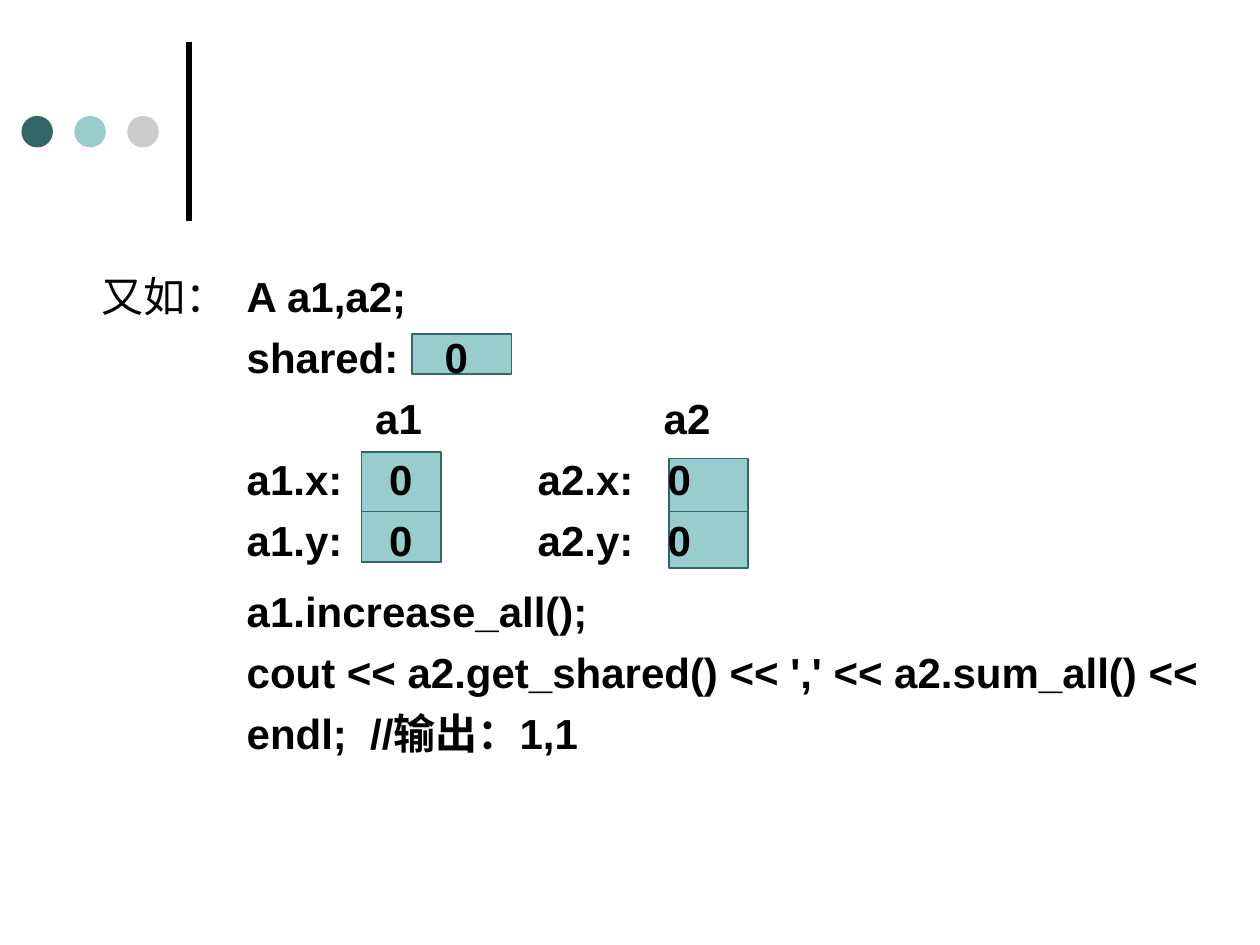
from dataclasses import dataclass

from lxml.etree import SubElement
from pptx import Presentation
from pptx.dml.color import RGBColor
from pptx.enum.shapes import MSO_CONNECTOR, MSO_SHAPE
from pptx.oxml.ns import qn
from pptx.slide import Slide
from pptx.text.text import _Paragraph
from pptx.util import Inches, Pt

COLORS = {"ink": "000000", "dark": "336666", "light": "99CCCC", "gray": "CCCCCC"}
CODE_FORMAT = {"name": "Arial", "size": Pt(24), "bold": True}
CODE_LEFT = 1.15


@dataclass
class Cell:
    left: float
    top: float
    width: float
    height: float


@dataclass
class Line:
    text: str
    tabs: tuple[float, ...] = ()
    intro: str = ""
    spacing: float = 1.0


OBJECT_CELLS = [Cell(5.31, 3.64, 0.63, 0.87), Cell(2.87, 3.59, 0.63, 0.87)]
SHARED_CELL = Cell(3.27, 2.65, 0.79, 0.32)
MEMBER_DIVIDER = 4.06
MEMBER_TABS = (2.28, 3.46, 4.49)

LINES = [
    Line("A a1,a2;", intro="又如：", spacing=1.2),
    Line("shared:\t0", (2.72,)),
    Line("\ta1\ta2", (2.17, 4.46)),
    Line("a1.x:\t0\ta2.x:\t0", MEMBER_TABS),
    Line("a1.y:\t0\ta2.y:\t0", MEMBER_TABS),
    Line("a1.increase_all();", spacing=1.2),
    Line("cout << a2.get_shared() << ',' << a2.sum_all() <<"),
    Line("endl;  //输出：1,1"),
]


def rgb(color: str) -> RGBColor:
    return RGBColor.from_string(COLORS[color])


def draw_shape(slide: Slide, kind: MSO_SHAPE, cell: Cell, fill: str, outline: str = "") -> None:
    shape = slide.shapes.add_shape(
        kind, Inches(cell.left), Inches(cell.top), Inches(cell.width), Inches(cell.height)
    )
    shape.shadow.inherit = False
    shape.fill.solid()
    shape.fill.fore_color.rgb = rgb(fill)
    if outline:
        shape.line.color.rgb = rgb(outline)
        shape.line.width = Pt(1)
    else:
        shape.line.fill.background()


def draw_line(slide: Slide, start: tuple[float, float], end: tuple[float, float],
              color: str, width: float) -> None:
    line = slide.shapes.add_connector(
        MSO_CONNECTOR.STRAIGHT, *map(Inches, start), *map(Inches, end)
    )
    line.line.color.rgb = rgb(color)
    line.line.width = Pt(width)
    SubElement(line._element.spPr, qn("a:effectLst"))


def write_line(paragraph: _Paragraph, line: Line, first: bool) -> None:
    stops = SubElement(paragraph._p.get_or_add_pPr(), qn("a:tabLst"))
    texts = line.text.split("\t")
    for position in (CODE_LEFT, *line.tabs):
        SubElement(stops, qn("a:tab"), pos=str(Inches(position)), algn="l")
    paragraph.line_spacing = line.spacing
    paragraph.space_before = Pt(0 if first else 6)
    for text, bold in ((line.intro, False), ("\t" + "\t".join(texts), True)):
        if not text:
            continue
        run = paragraph.add_run()
        run.text = text
        for attribute, value in (CODE_FORMAT | {"bold": bold}).items():
            setattr(run.font, attribute, value)
        run.font.color.rgb = rgb("ink")


def write_code(slide: Slide) -> None:
    code = slide.shapes.add_textbox(Inches(0.71), Inches(2.02), Inches(9.17), Inches(4.49))
    frame = code.text_frame
    frame.word_wrap = True
    for index, line in enumerate(LINES):
        paragraph = frame.add_paragraph() if index else frame.paragraphs[0]
        write_line(paragraph, line, first=index == 0)


def main() -> None:
    deck = Presentation()
    deck.slide_width, deck.slide_height = Inches(10), Inches(7.5)
    slide = deck.slides.add_slide(deck.slide_layouts[6])

    draw_line(slide, (1.5, 1.75), (1.5, 0.33), "ink", 3)
    for index, color in enumerate(("dark", "light", "gray")):
        dot = Cell(0.17 + 0.42 * index, 0.92, 0.25, 0.25)
        draw_shape(slide, MSO_SHAPE.OVAL, dot, color)
    for cell in (*OBJECT_CELLS, SHARED_CELL):
        draw_shape(slide, MSO_SHAPE.RECTANGLE, cell, "light", "dark")

    write_code(slide)

    for cell in OBJECT_CELLS:
        draw_line(slide, (cell.left, MEMBER_DIVIDER),
                  (cell.left + cell.width, MEMBER_DIVIDER), "dark", 1)
    deck.save("out.pptx")


if __name__ == "__main__":
    main()
